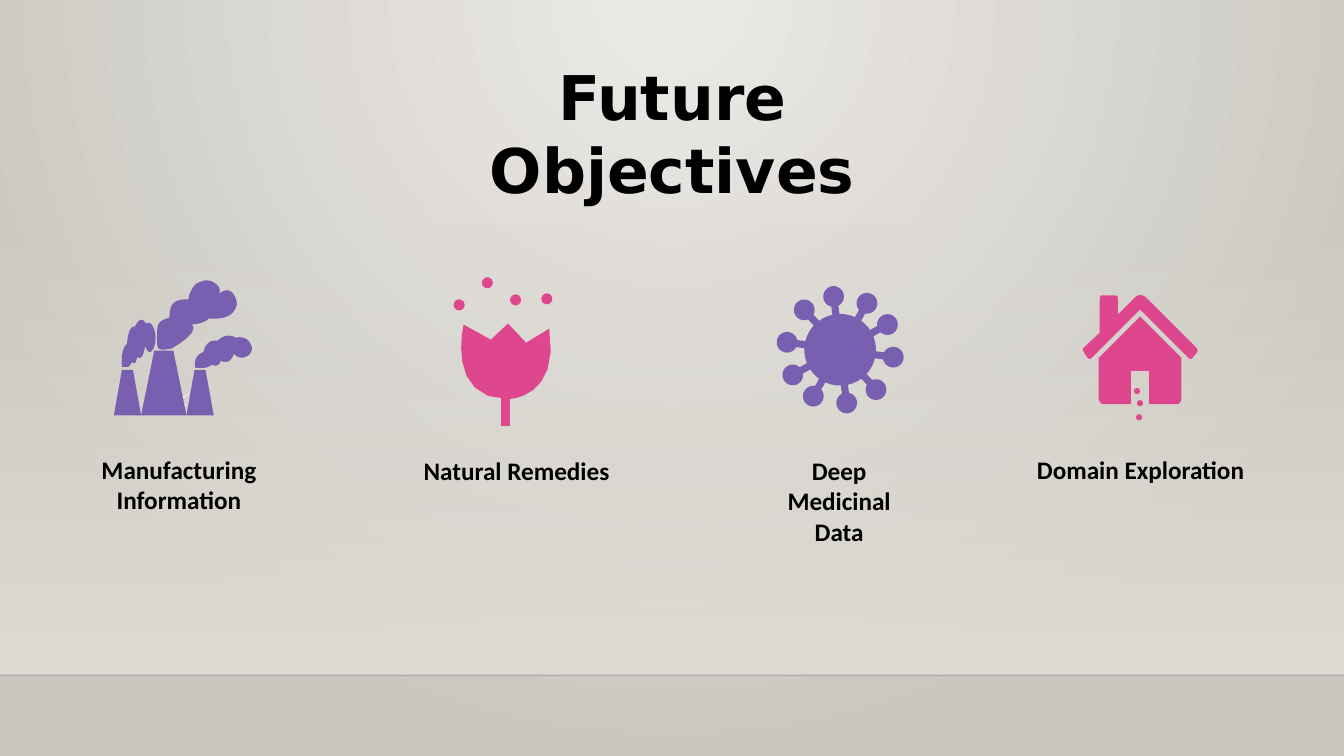
from math import cos, sin, radians
from lxml.etree import SubElement
from pptx import Presentation
from pptx.dml.color import RGBColor as RGB
from pptx.enum.shapes import MSO_CONNECTOR as LINK, MSO_SHAPE as SHAPE
from pptx.enum.text import MSO_ANCHOR as ANCHOR, MSO_AUTO_SIZE as SIZE, PP_ALIGN as ALIGN
from pptx.oxml.ns import qn
from pptx.util import Inches, Pt

HUES = {"ink": "000000", "violet": "795FAF", "pink": "DE478E", "white": "F9F9F9",
        "light": "ECEAE7", "dark": "CAC7C1", "haze": "DFDBD5"}
COLS, ROWS = 133.33, 75


def hue(name):
    return RGB.from_string(HUES[name])


def cell(*nums):
    """Turn grid cells, ten to the inch, into slide lengths."""
    return [Inches(n / 10) for n in nums]


def fade(color, share):
    """Set the opacity of a colour element in percent."""
    SubElement(color, qn("a:alpha")).set("val", str(share * 1000))


def write(frame, text, size=18, font="Calibri", color="ink", bold=True):
    frame.word_wrap = True
    frame.auto_size = SIZE.NONE
    frame.vertical_anchor = ANCHOR.TOP
    frame.text = text
    for para in frame.paragraphs:
        para.alignment = ALIGN.CENTER
        face = para.runs[0].font
        face.size, face.name, face.bold = Pt(size), font, bold
        face.color.rgb = hue(color)


def trace(path):
    """Flatten a path: pairs are corners, sixes are Bezier curves."""
    out = [path[0]]
    for step in path[1:]:
        if len(step) == 2:
            out.append(step)
            continue
        knots = [out[-1], step[:2], step[2:4], step[4:]]
        for i in range(1, 9):
            t = i / 8
            mix = ((1 - t) ** 3, 3 * t * (1 - t) ** 2, 3 * t * t * (1 - t), t ** 3)
            out.append(tuple(sum(m * k[d] for m, k in zip(mix, knots)) for d in (0, 1)))
    return out


def polar(x, y, far, deg):
    return x + far * cos(radians(deg)), y + far * sin(radians(deg))


def germ(x, y, body=3.55, reach=5.32, knob=1.03):
    """Outline a round body with ten knobs on stalks."""
    half = (8, 48, 83, 120, 152)
    turns = half + tuple(a + 180 for a in half)
    out = []
    for turn, after in zip(turns, turns[1:] + (368,)):
        hub = polar(x, y, reach, turn)
        out.append(polar(x, y, body, turn - 5.5))
        out += [polar(*hub, knob, turn + a) for a in range(-160, 161, 16)]
        out += [polar(x, y, body, a) for a in range(turn + 6, after - 5, 4)]
    return out


class Deck:
    def __init__(self):
        self.file = Presentation()
        self.file.slide_width, self.file.slide_height = cell(COLS, ROWS)
        self.slide = self.file.slides.add_slide(self.file.slide_layouts[5])
        self.shapes = self.slide.shapes

    def blend(self, fill, *names):
        fill.gradient()
        for stop, name in zip(fill.gradient_stops, names):
            stop.color.rgb = hue(name)

    def paint(self, shape, color):
        shape.shadow.inherit = False
        shape.line.fill.background()
        shape.fill.solid()
        shape.fill.fore_color.rgb = hue(color)

    def back(self):
        self.blend(self.slide.background.fill, "light", "dark")
        lin = self.slide.element.find(".//" + qn("a:lin"))
        glow = SubElement(lin.getparent(), qn("a:path"), path="circle")
        SubElement(glow, qn("a:fillToRect"), l="43000", r="43000", b="100000")
        lin.getparent().replace(lin, glow)

    def wall(self, top, foot):
        """Lay a haze that thickens down to the floor line."""
        haze = self.shapes.add_shape(SHAPE.RECTANGLE, *cell(0, top, COLS, foot - top))
        self.paint(haze, "haze")
        self.blend(haze.fill, "haze", "haze")
        haze.fill.gradient_angle = 270
        fade(haze.element.find(".//" + qn("a:srgbClr")), 0)
        edge = self.shapes.add_connector(LINK.STRAIGHT, *cell(0, foot, COLS, foot))
        edge.line.width = Pt(1)
        edge.line.color.rgb = hue("ink")
        props = edge.element.spPr
        fade(props.find(".//" + qn("a:srgbClr")), 20)
        SubElement(props, qn("a:effectLst"))

    def title(self, text, *box):
        head = self.shapes.title
        head.left, head.top, head.width, head.height = cell(*box)
        write(head.text_frame, text, size=44, font="DejaVu Sans")

    def label(self, text, *box):
        write(self.shapes.add_textbox(*cell(*box)).text_frame, text)

    def form(self, path, color):
        spots = [cell(*spot) for spot in trace(path)]
        pen = self.shapes.build_freeform(*spots[0])
        pen.add_line_segments(spots[1:], close=True)
        self.paint(pen.convert_to_shape(), color)

    def dots(self, spots, size, color):
        for x, y in spots:
            dot = self.shapes.add_shape(SHAPE.OVAL, *cell(x, y, size, size))
            self.paint(dot, color)


LABELS = [("Manufacturing\nInformation", 8, 44.6, 19.5, 7.1),
          ("Natural Remedies", 36.1, 44.7, 30.3, 4),
          ("Deep Medicinal Data", 75.9, 44.7, 14.7, 10.1),
          ("Domain Exploration", 100.4, 44.6, 25.5, 7.1)]

SPARK = [(18.9, 38.9), (17.6, 40), (18.5, 40.1), (16.9, 41.2), (18.2, 40.1), (17.3, 39.9)]
# middle, top, half of the base, half of the top
STACKS = [(12.65, 36.7, 1.35, 0.55), (16.25, 34.8, 2.25, 0.95), (19.85, 36.7, 1.35, 0.55)]
SMOKE = [
    [(17, 34.6), (16.9, 34.5, 15.6, 35.1, 15.6, 34.2), (15.6, 34.1, 15.5, 32.6, 15.7, 32.2),
     (15.9, 31.7, 16.7, 31.6, 16.8, 31.5), (16.9, 30.8, 16.7, 29.6, 18.7, 29.7),
     (18.7, 29.5, 18.8, 29.1, 19.1, 28.6), (19.2, 28.4, 19.5, 28, 20.1, 27.9),
     (20.2, 27.8, 20.6, 27.8, 21, 27.9), (21.1, 28, 21.7, 28.2, 21.8, 28.7),
     (21.8, 28.9, 21.8, 29.1, 21.7, 29.2), (21.8, 29.1, 22.1, 28.8, 22.6, 28.8),
     (23.2, 28.9, 23.5, 29.7, 23.5, 30.2), (23.4, 30.6, 23.2, 30.9, 23.1, 31),
     (22.4, 31.8, 20.9, 31.6, 20.7, 31.6), (20.7, 31.6, 20.4, 32.1, 19, 32.2),
     (19, 32.2, 20.1, 32.8, 17, 34.6)],
    [(19.4, 36.5), (19.4, 36.5, 19, 35.4, 20.2, 34.9), (20.2, 34.9, 20.4, 33.6, 21.6, 33.8),
     (21.6, 33.8, 22.4, 32.9, 23.4, 33.5), (23.4, 33.5, 24.5, 33.2, 24.9, 34.2),
     (25.4, 35.2, 23.9, 36, 23.2, 35.1), (23.2, 35.1, 22.9, 36.3, 21.9, 35.8),
     (21.9, 35.8, 21.8, 36.5, 21, 36.2), (21, 36.2, 20.8, 36.4, 20.3, 36.5)],
    [(12.1, 36.4), (12.1, 36.4, 11.9, 34.7, 12.6, 34.1), (12.6, 34.1, 12.7, 32.2, 13.4, 32.4),
     (13.4, 32.4, 13.9, 31.1, 14.5, 32.1), (14.5, 32.1, 15.1, 31.6, 15.4, 33.1),
     (15.6, 34.5, 14.8, 35.7, 14.4, 34.3), (14.4, 34.3, 14.2, 36, 13.6, 35.4),
     (13.6, 35.4, 13.5, 36.4, 13.1, 35.9), (13.1, 35.9, 12.9, 36.3, 12.7, 36.4)]]

TULIP = [(46, 32.2), (46, 32.2, 44.2, 39.6, 50.4, 39.6), (50.4, 39.6, 55.6, 39.6, 54.5, 32.6),
         (52.2, 34), (50.4, 32.1), (48.7, 33.7)]
STEM = [(49.7, 39.5), (50.6, 39.5), (50.6, 42.3), (49.7, 42.3)]
POLLEN = [(53.7, 29.1), (45, 29.7), (50.6, 29.2), (47.8, 27.5)]

HOUSE = [(113.1, 31.4), (117.2, 35.5), (117.2, 39.5), (117.2, 39.8, 117, 40.1, 116.8, 40.1),
         (114, 40.1), (114, 36.8), (112.2, 36.8), (112.2, 40.1), (109.5, 40.1),
         (109.2, 40.1, 109, 39.8, 109, 39.5), (109, 35.5)]
ROOF = [(107.5, 34.5), (109.1, 33), (109.1, 29.6), (109.1, 29.4, 109.2, 29.3, 109.3, 29.3),
        (110.6, 29.3), (110.8, 29.3, 110.9, 29.4, 110.9, 29.6), (110.9, 31.2), (112.6, 29.5),
        (112.9, 29.2, 113.3, 29.2, 113.7, 29.5), (118.7, 34.5),
        (118.8, 34.6, 118.8, 34.8, 118.8, 34.9), (118.3, 35.5),
        (118.2, 35.6, 118.1, 35.6, 118, 35.6), (113.1, 30.7), (108.2, 35.6),
        (108.1, 35.6, 108, 35.6, 107.9, 35.5), (107.5, 34.9),
        (107.4, 34.8, 107.4, 34.6, 107.5, 34.5)]
TRAIL = [(112.5, 38.5), (112.7, 41.1), (112.8, 39.7)]


def main():
    deck = Deck()
    deck.back()
    deck.wall(22.1, 67)
    deck.title("Future Objectives", 43.7, 5.3, 46, 15.8)
    for text, *box in LABELS:
        deck.label(text, *box)

    deck.form(SPARK, "white")
    for mid, top, base, rim in STACKS:
        deck.form([(mid + base, 41.2), (mid - base, 41.2), (mid - rim, top), (mid + rim, top)],
                  "violet")
    for puff in SMOKE:
        deck.form(puff, "violet")
    deck.form(germ(83.35, 34.7), "violet")
    for path in (TULIP, STEM, HOUSE, ROOF):
        deck.form(path, "pink")
    deck.dots(POLLEN, 1.1, "pink")
    deck.dots(TRAIL, 0.6, "pink")
    deck.file.save("out.pptx")


if __name__ == "__main__":
    main()
